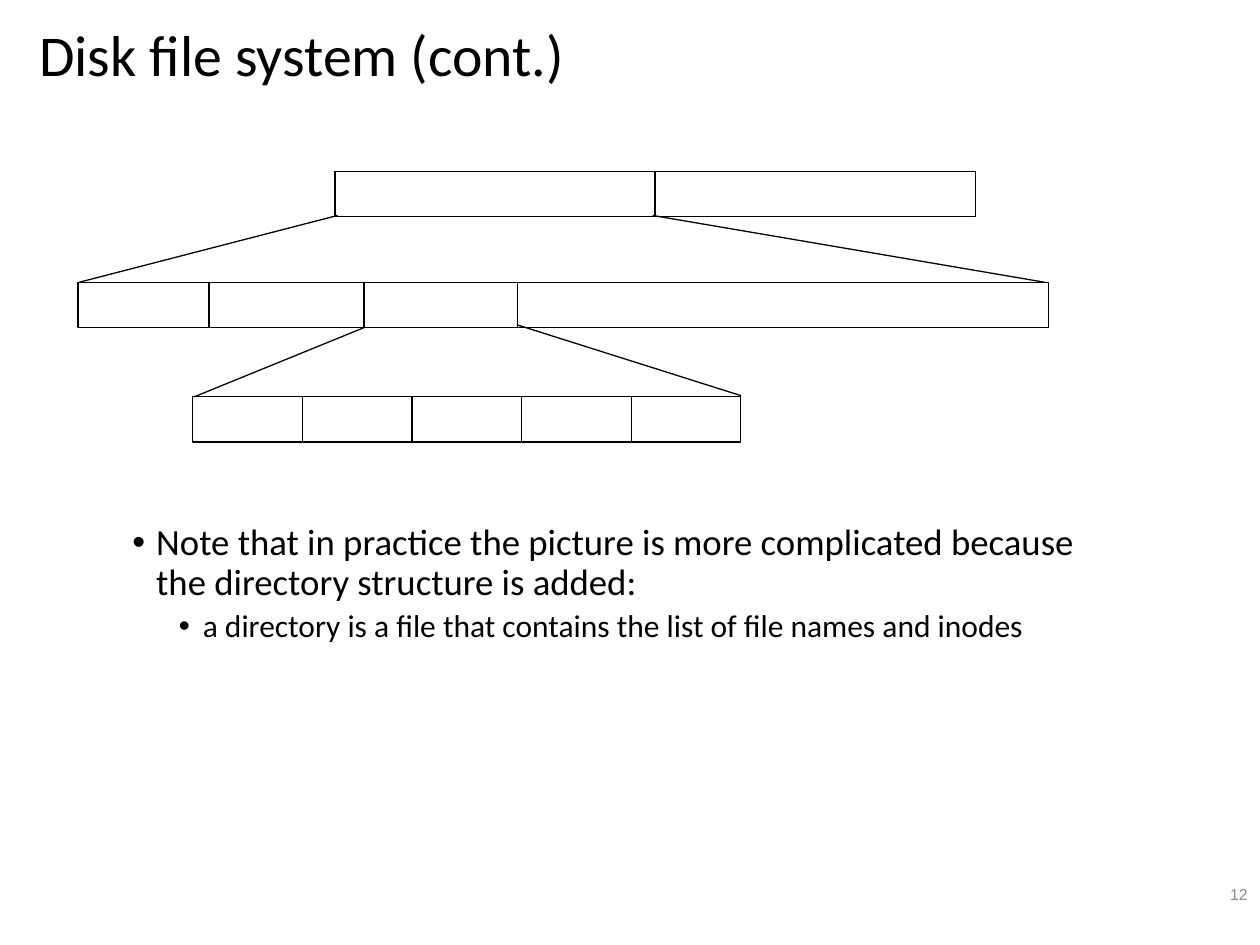
from lxml import etree
from pptx import Presentation
from pptx.dml.color import RGBColor
from pptx.enum import shapes, text
from pptx.oxml import ns
from pptx.util import Inches, Pt

COLORS = {"ink": "000000", "box": "FFFFFF", "number": "898989"}

# Content
TITLE = "Disk file system (cont.)"
NOTES = [  # text, level, size, left indent, space before
    ("Note that in practice the picture is more complicated because "
     "the directory structure is added:", 0, 21, 0.19, 0),
    ("a directory is a file that contains the list of file names and inodes",
     1, 18, 0.56, 3.7),
]
PAGE_NUMBER = "12"
HANGING = 0.19

# Disk layout: each row is (left, top, cell widths)
CELL_HEIGHT = 0.36
ROWS = [
    (2.66, 1.36, [2.54, 2.54]),              # partitions
    (0.62, 2.24, [1.04, 1.23, 1.22, 4.21]),  # areas of one partition
    (1.53, 3.15, [0.87] * 5),                # inodes
]
ZOOM_LINES = [  # start and end of each line to the row below
    ((2.68, 1.71), (0.63, 2.24)),
    ((5.18, 1.71), (8.29, 2.24)),
    ((2.89, 2.60), (1.54, 3.15)),
    ((4.11, 2.58), (5.88, 3.14)),
]


def color(name):
    return RGBColor.from_string(COLORS[name])


def style_font(font, name, size, color_name):
    font.name = name
    font.size = Pt(size)
    font.color.rgb = color(color_name)


def add_text_box(slide, box, anchor, margins):
    frame = slide.shapes.add_textbox(*map(Inches, box)).text_frame
    frame.word_wrap = True
    frame.vertical_anchor = anchor
    frame.margin_left = frame.margin_right = Inches(margins[0])
    frame.margin_top = frame.margin_bottom = Inches(margins[1])
    return frame


def add_bullet(paragraph, indent):
    properties = paragraph._p.get_or_add_pPr()
    properties.set("marL", str(Inches(indent)))
    properties.set("indent", str(-Inches(HANGING)))
    etree.SubElement(properties, ns.qn("a:buFont")).set("typeface", "Arial")
    etree.SubElement(properties, ns.qn("a:buChar")).set("char", "•")


def add_cell(slide, left, top, width):
    cell = slide.shapes.add_shape(
        shapes.MSO_SHAPE.RECTANGLE,
        *map(Inches, (left, top, width, CELL_HEIGHT)))
    cell.shadow.inherit = False
    cell.fill.solid()
    cell.fill.fore_color.rgb = color("box")
    cell.line.color.rgb = color("ink")
    cell.line.width = Pt(0.75)


def add_line(slide, start, end):
    line = slide.shapes.add_connector(
        shapes.MSO_CONNECTOR.STRAIGHT, *map(Inches, start + end))
    line.line.color.rgb = color("ink")
    line.line.width = Pt(0.75)
    etree.SubElement(line._element.spPr, ns.qn("a:effectLst"))


def main():
    presentation = Presentation()
    presentation.slide_width = Inches(10)
    presentation.slide_height = Inches(7.5)
    slide = presentation.slides.add_slide(presentation.slide_layouts[6])

    # Title
    frame = add_text_box(slide, (0.24, 0.16, 6.67, 0.6),
                         text.MSO_ANCHOR.MIDDLE, (0.07, 0.04))
    frame.text = TITLE
    frame.paragraphs[0].line_spacing = 0.9
    style_font(frame.paragraphs[0].runs[0].font, "Calibri", 33, "ink")

    # Notes
    frame = add_text_box(slide, (0.98, 4.12, 7.74, 3.09),
                         text.MSO_ANCHOR.TOP, (0.07, 0.04))
    frame.text = "\n".join(note[0] for note in NOTES)
    for paragraph, note in zip(frame.paragraphs, NOTES):
        _, level, size, indent, space_before = note
        add_bullet(paragraph, indent)
        paragraph.level = level
        paragraph.line_spacing = 0.9
        paragraph.space_before = Pt(space_before)
        style_font(paragraph.runs[0].font, "Calibri", size, "ink")

    # Page number
    frame = add_text_box(slide, (9.41, 6.85, 0.59, 0.5),
                         text.MSO_ANCHOR.MIDDLE, (0.1, 0.05))
    frame.text = PAGE_NUMBER
    frame.paragraphs[0].alignment = text.PP_ALIGN.RIGHT
    style_font(frame.paragraphs[0].runs[0].font, "Arial", 9, "number")

    # Disk layout
    for left, top, widths in ROWS:
        for index, width in enumerate(widths):
            add_cell(slide, left + sum(widths[:index]), top, width)
    for start, end in ZOOM_LINES:
        add_line(slide, start, end)

    presentation.save("out.pptx")


if __name__ == "__main__":
    main()
